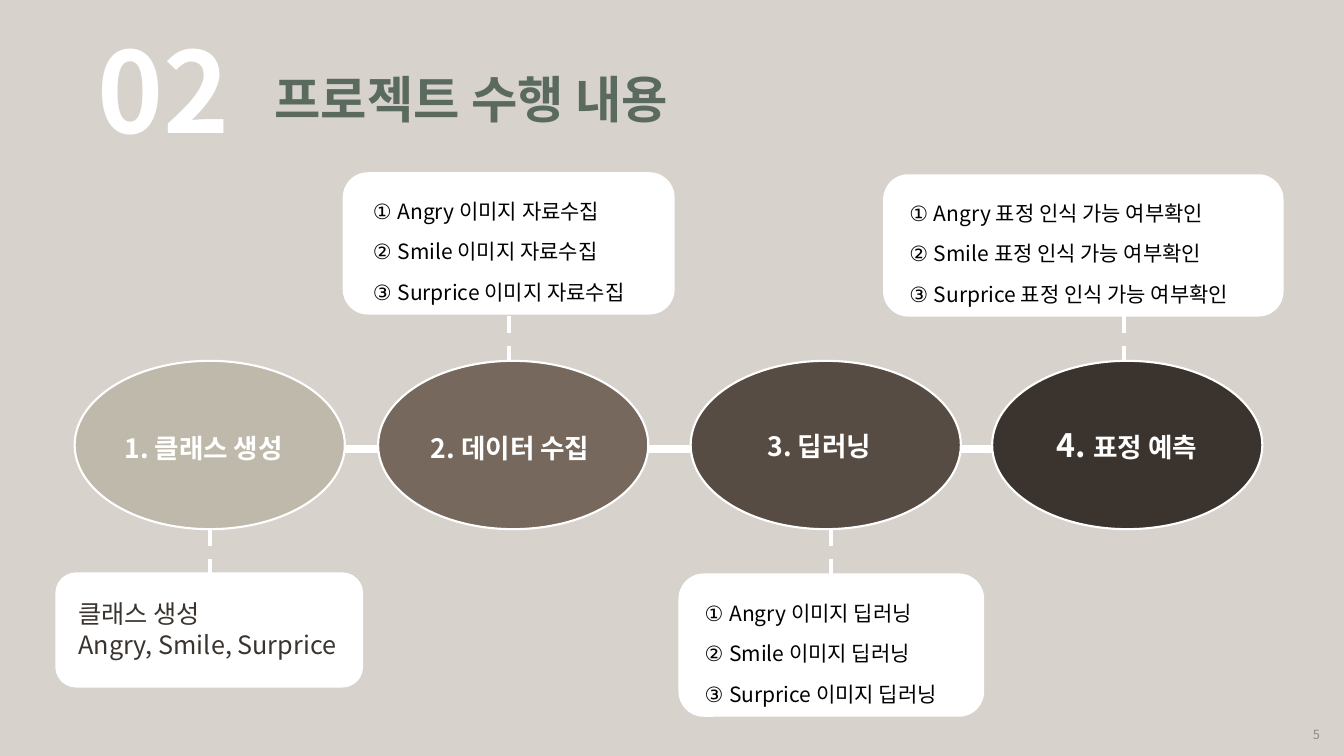
from dataclasses import dataclass

from pptx import Presentation, util as u
from pptx.dml.color import RGBColor
from pptx.enum import dml, shapes, text
from pptx.oxml.ns import qn
from lxml import etree


@dataclass(frozen=True)
class Theme:
    back: str = "D8D2CD"
    white: str = "FFFFFF"
    title: str = "5B6A5E"
    dark: str = "3B342E"
    black: str = "000000"
    gray: str = "8C8C8C"
    steps: tuple = ("BEB9AA", "76685C", "574C43", "3B342E")
    font: str = "Noto Sans CJK KR"
    mark: str = "Arial"
    plain: str = "Calibri"
    huge: int = 80
    head: int = 36
    big: int = 23
    step: int = 19
    note: int = 18
    item: int = 15
    page: int = 9


T = Theme()
WIDE, HIGH = 13.33, 7.5
OVAL_W, OVAL_H, OVAL_TOP = 2.68, 1.67, 3.58
OVAL_END = OVAL_TOP + OVAL_H
STEM = 0.44
ALIGN = text.PP_ALIGN


def box(*nums):
    return [u.Inches(n) for n in nums]


def color(code):
    return RGBColor.from_string(code)


def add_run(para, words, size, code, font=T.font, bold=False):
    run = para.add_run()
    run.text = words
    run.font.size = u.Pt(size)
    run.font.bold = bold
    run.font.name = font
    run.font.color.rgb = color(code)
    east = etree.SubElement(run.font._element, qn("a:ea"))
    east.set("typeface", T.font)


def fill_text(frame, paras, align=ALIGN.LEFT, space=None, indent=0):
    frame.word_wrap = True
    for i, runs in enumerate(paras):
        para = frame.paragraphs[0] if i == 0 else frame.add_paragraph()
        para.alignment = align
        if space:
            para.line_spacing = space
        if indent:
            props = para._p.get_or_add_pPr()
            props.set("marL", "0")
            props.set("indent", str(u.Inches(indent)))
        for run in runs:
            add_run(para, *run)


def add_text(slide, place, paras, anchor=text.MSO_ANCHOR.TOP, **look):
    frame = slide.shapes.add_textbox(*box(*place)).text_frame
    frame.vertical_anchor = anchor
    fill_text(frame, paras, **look)


def add_form(slide, kind, place, code, width):
    form = slide.shapes.add_shape(kind, *box(*place))
    form.shadow.inherit = False
    form.fill.solid()
    form.fill.fore_color.rgb = color(code)
    form.line.color.rgb = color(T.white)
    form.line.width = u.Pt(width)


def add_stem(slide, x, top):
    line = slide.shapes.add_connector(
        shapes.MSO_CONNECTOR.STRAIGHT, *box(x, top, x, top + STEM))
    line.line.color.rgb = color(T.white)
    line.line.width = u.Pt(3)
    line.line.dash_style = dml.MSO_LINE.DASH
    etree.SubElement(line._element.spPr, qn("a:effectLst"))


def add_list(slide, place, tail):
    paras = [[(mark + " ", T.item, T.black, T.mark),
              (f"{mood} {tail}", T.item, T.black)]
             for mark, mood in zip("①②③", ("Angry", "Smile", "Surprice"))]
    add_text(slide, place, paras, align=ALIGN.JUSTIFY, space=1.6, indent=0.14)


def add_title(slide):
    title = slide.shapes.title
    title.left, title.top, title.width, title.height = box(2.62, 0.18, 5.44, 1.47)
    title.text_frame.vertical_anchor = text.MSO_ANCHOR.MIDDLE
    fill_text(title.text_frame,
              [[("프로젝트 수행 내용", T.head, T.title, T.font, True)]],
              align=ALIGN.JUSTIFY, space=1.2)
    add_text(slide, (0.87, 0.32, 3.23, 1.46),
             [[("02", T.huge, T.white, T.font, True)]], space=0.9)


def add_steps(slide):
    bar = shapes.MSO_SHAPE.RECTANGLE
    add_form(slide, bar, (2.02, 4.42, 10.18, 0.07), T.white, 1)
    steps = (
        (0.74, (0.68, 4.24, 2.68, 0.42), "1. ", "클래스 생성", T.step),
        (3.75, (3.72, 4.24, 2.68, 0.42), "2. ", "데이터 수집", T.step),
        (6.85, (6.45, 4.22, 3.35, 0.42), "3. ", "딥러닝", T.step),
        (9.84, (9.5, 4.17, 3.35, 0.49), "4. ", "표정 예측", T.big),
    )
    for (left, place, num, name, size), code in zip(steps, T.steps):
        add_form(slide, shapes.MSO_SHAPE.OVAL,
                 (left, OVAL_TOP, OVAL_W, OVAL_H), code, 1.5)
        add_text(slide, place,
                 [[(num, size, T.white, T.font, True),
                   (name, T.step, T.white, T.font, True)]],
                 align=ALIGN.CENTER)


def add_cards(slide):
    for x, top in ((2.08, OVAL_END), (5.05, OVAL_TOP - STEM),
                   (8.24, OVAL_END), (11.15, OVAL_TOP - STEM)):
        add_stem(slide, x, top)
    for place in ((0.57, 5.7, 3.01, 1.1), (3.42, 1.73, 3.25, 1.37),
                  (6.75, 5.71, 2.99, 1.38), (8.78, 1.75, 3.93, 1.37)):
        add_form(slide, shapes.MSO_SHAPE.ROUNDED_RECTANGLE, place, T.white, 3)
    add_text(slide, (0.68, 5.89, 3, 0.71),
             [[("클래스 생성", T.note, T.dark, T.plain)],
              [("Angry, Smile, Surprice", T.note, T.dark)]])
    add_list(slide, (3.46, 1.77, 3.19, 1.27), "이미지 자료수집")
    add_list(slide, (6.75, 5.76, 3.19, 1.27), "이미지 딥러닝")
    add_list(slide, (8.78, 1.79, 4.08, 1.27), "표정 인식 가능 여부확인")


def main():
    deck = Presentation()
    deck.slide_width, deck.slide_height = box(WIDE, HIGH)
    slide = deck.slides.add_slide(deck.slide_layouts.get_by_name("Title Only"))
    slide.background.fill.solid()
    slide.background.fill.fore_color.rgb = color(T.back)
    add_title(slide)
    add_steps(slide)
    add_cards(slide)
    add_text(slide, (10.19, 7.09, 3, 0.4), [[("5", T.page, T.gray)]],
             anchor=text.MSO_ANCHOR.MIDDLE, align=ALIGN.RIGHT)
    deck.save("out.pptx")


if __name__ == "__main__":
    main()
